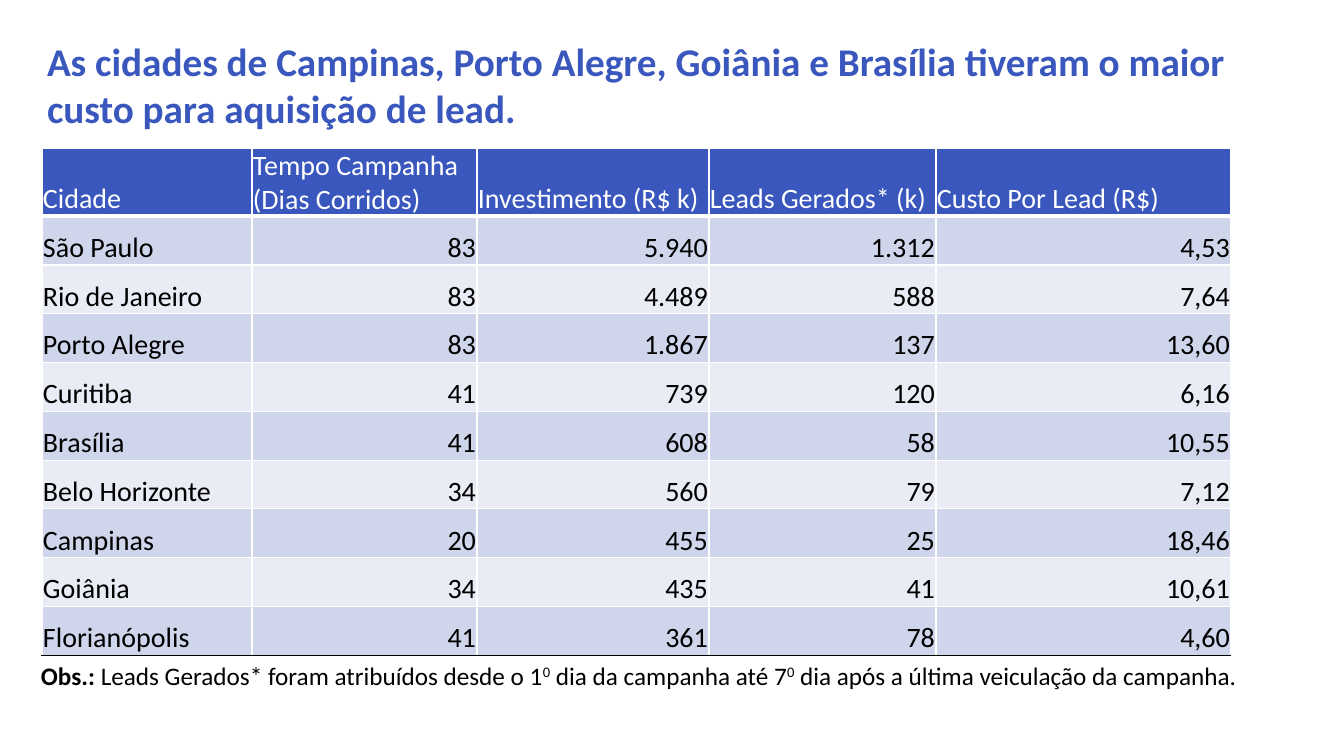
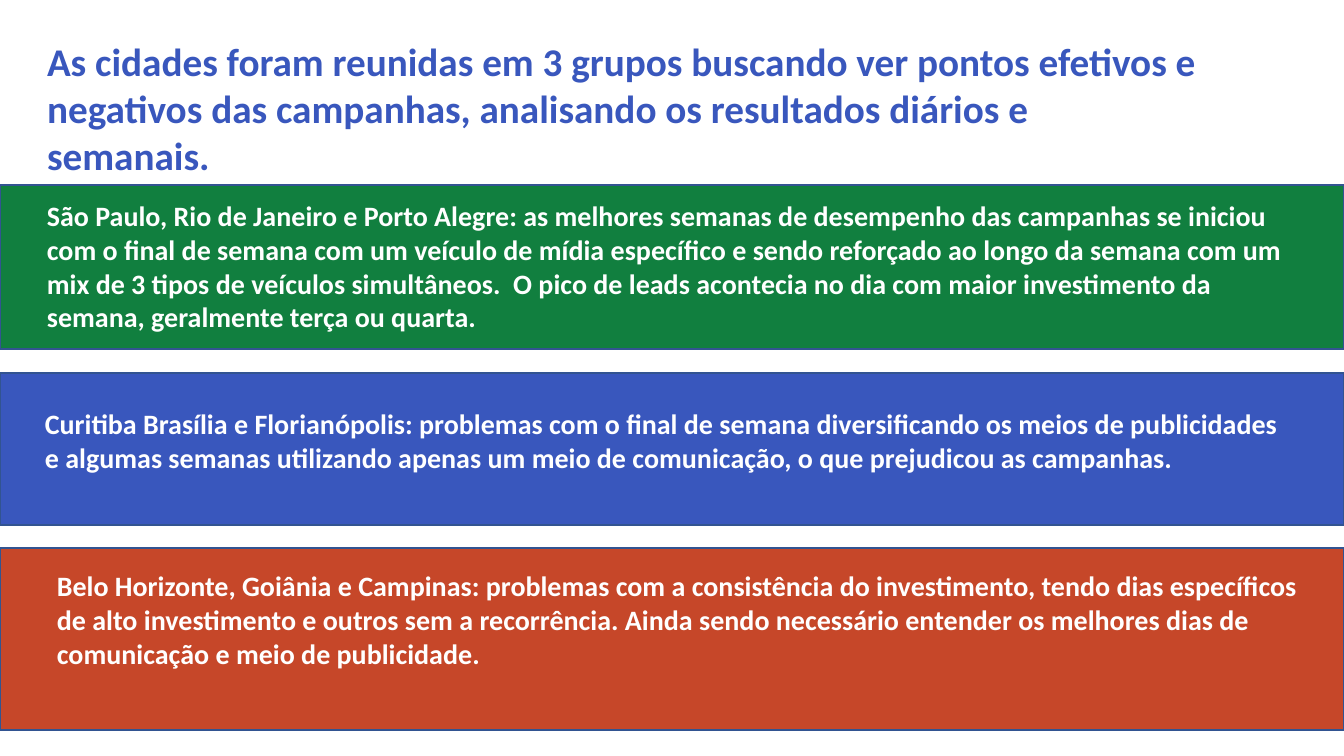
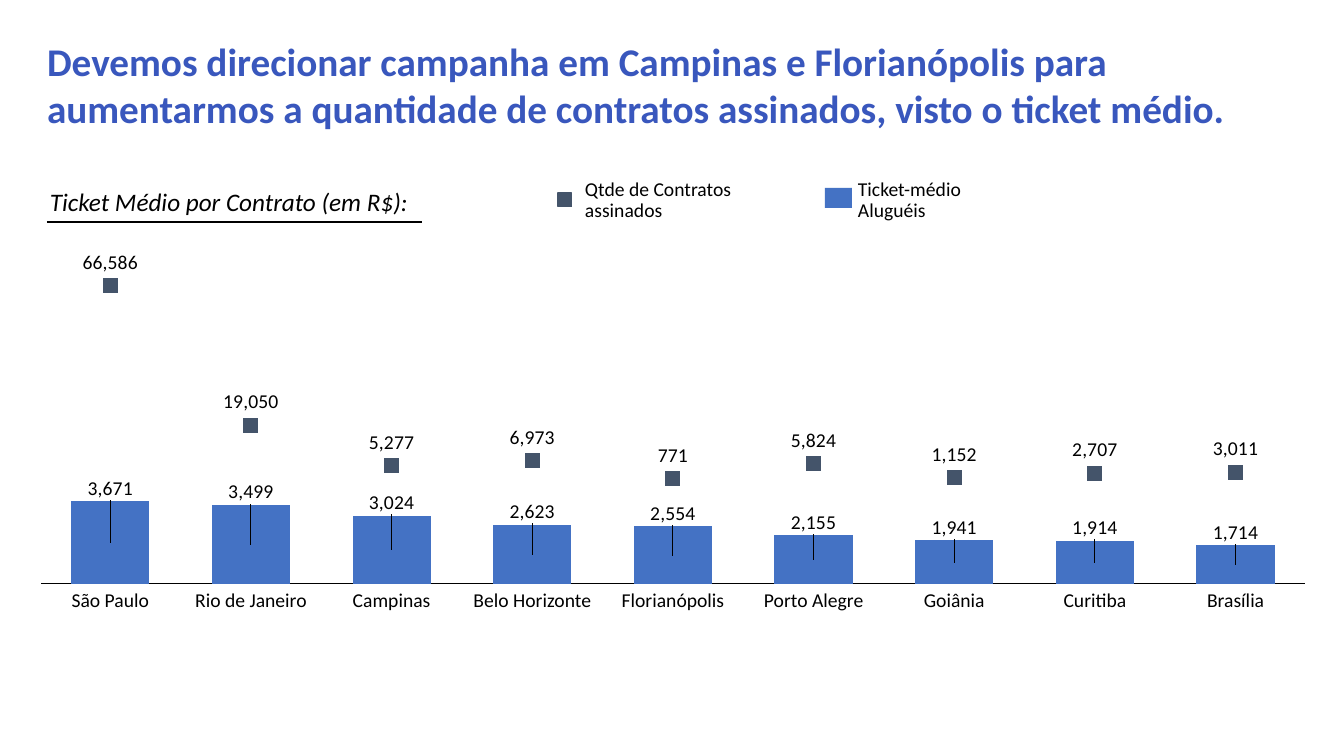
from lxml.etree import SubElement
from pptx import Presentation
from pptx.chart.data import CategoryChartData
from pptx.dml.color import RGBColor
from pptx.enum.chart import XL_CHART_TYPE, XL_LABEL_POSITION, XL_MARKER_STYLE
from pptx.enum.chart import XL_TICK_LABEL_POSITION as TickLabels, XL_TICK_MARK as TickMark
from pptx.enum.shapes import MSO_CONNECTOR, MSO_SHAPE
from pptx.enum.text import MSO_ANCHOR as Anchor, MSO_AUTO_SIZE, PP_ALIGN as Align
from pptx.oxml import parse_xml
from pptx.oxml.ns import nsdecls, qn
from pptx.util import Emu, Pt

PX_PER_INCH = 100.8
SLIDE_W, SLIDE_H = 1344, 756
FONT = "Calibri"
BLUE = RGBColor(0x39, 0x57, 0xBD)
BAND_EDGE = RGBColor(0x32, 0x54, 0x91)
GREEN = RGBColor(0x11, 0x7F, 0x3F)
RED = RGBColor(0xC6, 0x47, 0x29)
ROW_DARK = RGBColor(0xCF, 0xD5, 0xEA)
ROW_LIGHT = RGBColor(0xE9, 0xEB, 0xF5)
BAR_BLUE = RGBColor(0x44, 0x72, 0xC4)
SLATE = RGBColor(0x44, 0x54, 0x6A)
BLACK = RGBColor(0, 0, 0)
WHITE = RGBColor(0xFF, 0xFF, 0xFF)

COLUMN_WIDTHS = [210, 225, 232, 227, 295]
CAMPAIGNS = [
    ["Cidade", "Tempo Campanha (Dias Corridos)", "Investimento (R$ k)",
     "Leads Gerados* (k)", "Custo Por Lead (R$)"],
    ["São Paulo", "83", "5.940", "1.312", "4,53"],
    ["Rio de Janeiro", "83", "4.489", "588", "7,64"],
    ["Porto Alegre", "83", "1.867", "137", "13,60"],
    ["Curitiba", "41", "739", "120", "6,16"],
    ["Brasília", "41", "608", "58", "10,55"],
    ["Belo Horizonte", "34", "560", "79", "7,12"],
    ["Campinas", "20", "455", "25", "18,46"],
    ["Goiânia", "34", "435", "41", "10,61"],
    ["Florianópolis", "41", "361", "78", "4,60"],
]
NOTE = [
    ("Obs.: ", {"bold": True}),
    ("Leads Gerados* foram atribuídos desde o 1", {}), ("0", {"raised": True}),
    (" dia da campanha até 7", {}), ("0", {"raised": True}),
    (" dia após a última veiculação da campanha.", {}),
]
# band box, band colour, text box inside the band, text
GROUPS = [
    ((0, 185, SLIDE_W, 164), GREEN, (37, 9, 1270, 146),
     "São Paulo, Rio de Janeiro e Porto Alegre: as melhores semanas de desempenho das "
     "campanhas se iniciou com o final de semana com um veículo de mídia específico e "
     "sendo reforçado ao longo da semana com um mix de 3 tipos de veículos simultâneos.  "
     "O pico de leads acontecia no dia com maior investimento da semana, geralmente terça "
     "ou quarta."),
    ((0, 373, SLIDE_W, 152), BLUE, (35, 29, 1270, 78),
     "Curitiba Brasília e Florianópolis: problemas com o final de semana diversificando os "
     "meios de publicidades e algumas semanas utilizando apenas um meio de comunicação, o "
     "que prejudicou as campanhas."),
    ((0, 548, SLIDE_W, 182), RED, (47, 16, 1270, 112),
     "Belo Horizonte, Goiânia e Campinas: problemas com a consistência do investimento, "
     "tendo dias específicos de alto investimento e outros sem a recorrência. Ainda sendo "
     "necessário entender os melhores dias de comunicação e meio de publicidade."),
]
# city, label width, average ticket, signed contracts
CONTRACTS = [
    ("São Paulo", 79, 3671, 66586), ("Rio de Janeiro", 113, 3499, 19050),
    ("Campinas", 80, 3024, 5277), ("Belo Horizonte", 119, 2623, 6973),
    ("Florianópolis", 104, 2554, 771), ("Porto Alegre", 101, 2155, 5824),
    ("Goiânia", 62, 1941, 1152), ("Curitiba", 65, 1914, 2707),
    ("Brasília", 58, 1714, 3011),
]
PLOT_X, PLOT_Y, PLOT_W, PLOT_H = 9, 9, 1266, 338
TICKET_MAX = 15000
LABEL_LIFT = 13


def px(length):
    """Turn picture pixels into EMU."""
    return Emu(round(length * 914400 / PX_PER_INCH))


def place(box):
    """Turn a pixel box into EMU lengths."""
    return [px(length) for length in box]


def add_run(paragraph, text, size, color, bold=False, italic=False, raised=False):
    """Add one formatted run."""
    run = paragraph.add_run()
    run.text = text
    font = run.font
    font.name, font.size, font.bold, font.italic = FONT, Pt(size), bold, italic
    font.color.rgb = color
    if raised:
        font._element.set("baseline", "30000")


def add_text(slide, box, runs, size, color, align=Align.LEFT, anchor=Anchor.TOP,
             label=False):
    """Add a one-paragraph text box; a label has no insets and does not wrap."""
    frame = slide.shapes.add_textbox(*place(box)).text_frame
    frame.word_wrap = not label
    frame.vertical_anchor = anchor
    paragraph = frame.paragraphs[0]
    paragraph.alignment = align
    if label:
        frame.margin_left = frame.margin_right = 0
        frame.margin_top = frame.margin_bottom = 0
        paragraph.line_spacing = 0.9
    for text, style in runs:
        add_run(paragraph, text, size, color, **style)


def add_rect(slide, box, fill, edge=None, edge_width=1):
    """Add a flat rectangle."""
    rect = slide.shapes.add_shape(MSO_SHAPE.RECTANGLE, *place(box))
    rect.shadow.inherit = False
    rect.fill.solid()
    rect.fill.fore_color.rgb = fill
    if edge is None:
        rect.line.fill.background()
    else:
        rect.line.color.rgb = edge
        rect.line.width = Pt(edge_width)


def add_titled_slide(deck, lines, height=105):
    """Add a title-only slide with one title paragraph for each line."""
    slide = deck.slides.add_slide(deck.slide_layouts[5])
    title = slide.shapes.title
    title.left, title.top, title.width, title.height = place((37, 32, 1270, height))
    frame = title.text_frame
    frame.auto_size = MSO_AUTO_SIZE.NONE
    frame.word_wrap = True
    frame.vertical_anchor = Anchor.TOP
    for number, line in enumerate(lines):
        paragraph = frame.add_paragraph() if number else frame.paragraphs[0]
        paragraph.alignment = Align.LEFT
        add_run(paragraph, line, 28, BLUE, bold=True)
    return slide


def set_borders(cell, bottom_color, bottom_width):
    """Give a cell thin white borders and its own bottom border."""
    borders = [("L", WHITE, 1), ("R", WHITE, 1), ("T", WHITE, 1),
               ("B", bottom_color, bottom_width)]
    properties = cell._tc.get_or_add_tcPr()
    for position, (side, color, width) in enumerate(borders):
        border = parse_xml(
            f'<a:ln{side} {nsdecls("a")} w="{Pt(width)}"><a:solidFill>'
            f'<a:srgbClr val="{color}"/></a:solidFill></a:ln{side}>')
        properties.insert(position, border)


def add_campaign_table(slide, box, header_height=68):
    """Add the table of campaigns by city."""
    last = len(CAMPAIGNS) - 1
    table = slide.shapes.add_table(len(CAMPAIGNS), len(COLUMN_WIDTHS), *place(box)).table
    table.horz_banding = False
    for column, width in zip(table.columns, COLUMN_WIDTHS):
        column.width = px(width)
    for r, values in enumerate(CAMPAIGNS):
        table.rows[r].height = px((box[3] - header_height) / last if r else header_height)
        for c, value in enumerate(values):
            cell = table.cell(r, c)
            cell.vertical_anchor = Anchor.BOTTOM
            cell.margin_left = cell.margin_right = cell.margin_top = px(1)
            cell.margin_bottom = 0
            cell.fill.solid()
            cell.fill.fore_color.rgb = (ROW_DARK if r % 2 else ROW_LIGHT) if r else BLUE
            set_borders(cell, BLACK if r == last else WHITE, 1 if r else 3)
            paragraph = cell.text_frame.paragraphs[0]
            paragraph.alignment = Align.RIGHT if r and c else Align.LEFT
            add_run(paragraph, value, 20, BLACK if r else WHITE)


def add_group_band(slide, box, color, text_box, text):
    """Add a full-width band with its paragraph inside."""
    add_rect(slide, box, color, BAND_EDGE)
    dx, dy, width, height = text_box
    add_text(slide, (box[0] + dx, box[1] + dy, width, height),
             [(text, {"bold": True})], 20, WHITE)


def style_axis(axis, color):
    """Leave only the line of an axis."""
    axis.has_major_gridlines = False
    axis.major_tick_mark = axis.minor_tick_mark = TickMark.NONE
    axis.tick_label_position = TickLabels.NONE
    axis.format.line.color.rgb = color
    axis.format.line.width = Pt(0.75)


def move_contracts_to_line(chart):
    """Move the second series to a line plot on a right-hand axis."""
    plot_area = chart._chartSpace.chart.plotArea
    bars = plot_area.find(qn("c:barChart"))
    contracts = bars.findall(qn("c:ser"))[1]
    for flag in contracts.findall(qn("c:invertIfNegative")):
        contracts.remove(flag)
    line = parse_xml(
        f'<c:lineChart {nsdecls("c")}><c:grouping val="standard"/><c:varyColors val="0"/>'
        '<c:marker val="1"/><c:axId val="5001"/><c:axId val="5002"/></c:lineChart>')
    line.insert(2, contracts)
    bars.addnext(line)
    category_axis = parse_xml(
        f'<c:catAx {nsdecls("c")}><c:axId val="5001"/><c:scaling>'
        '<c:orientation val="minMax"/></c:scaling><c:delete val="1"/>'
        '<c:axPos val="b"/><c:crossAx val="5002"/></c:catAx>')
    value_axis = parse_xml(
        f'<c:valAx {nsdecls("c", "a")}><c:axId val="5002"/><c:scaling>'
        '<c:orientation val="minMax"/><c:max val="80000"/><c:min val="-35000"/></c:scaling>'
        '<c:delete val="0"/><c:axPos val="r"/><c:majorTickMark val="none"/>'
        '<c:minorTickMark val="none"/><c:tickLblPos val="none"/>'
        f'<c:spPr><a:ln w="9525"><a:solidFill><a:srgbClr val="{WHITE}"/></a:solidFill></a:ln>'
        '</c:spPr><c:crossAx val="5001"/><c:crosses val="max"/></c:valAx>')
    last_axis = plot_area.find(qn("c:valAx"))
    last_axis.addnext(category_axis)
    category_axis.addnext(value_axis)


def fix_plot_area(chart, box):
    """Pin the inner plot area inside the chart box."""
    plot_area = chart._chartSpace.chart.plotArea
    for layout in plot_area.findall(qn("c:layout")):
        plot_area.remove(layout)
    layout = parse_xml(f'<c:layout {nsdecls("c")}><c:manualLayout/></c:layout>')
    settings = [("layoutTarget", "inner"), ("xMode", "edge"), ("yMode", "edge"),
                ("x", PLOT_X / box[2]), ("y", PLOT_Y / box[3]),
                ("w", PLOT_W / box[2]), ("h", PLOT_H / box[3])]
    for tag, value in settings:
        SubElement(layout[0], qn(f"c:{tag}")).set("val", str(value))
    plot_area.insert(0, layout)


def show_values(series, position):
    """Show the values of a series as labels."""
    labels = series.data_labels
    labels.show_value = True
    labels.number_format, labels.number_format_is_linked = "#,##0", False
    labels.position = position
    labels.font.name, labels.font.size = FONT, Pt(14)
    labels.font.color.rgb = BLACK
    return labels._element


def lift_ticket_labels(labels, chart_height):
    """Raise each label from the middle of its bar to above it, with a leader line."""
    for number, (_, _, ticket, _) in enumerate(CONTRACTS):
        rise = ticket / TICKET_MAX * PLOT_H / 2 + LABEL_LIFT
        labels.insert(number, parse_xml(
            f'<c:dLbl {nsdecls("c")}><c:idx val="{number}"/><c:layout><c:manualLayout>'
            f'<c:x val="0"/><c:y val="{-rise / chart_height:.4f}"/></c:manualLayout></c:layout>'
            '<c:numFmt formatCode="#,##0" sourceLinked="0"/><c:dLblPos val="ctr"/>'
            '<c:showLegendKey val="0"/><c:showVal val="1"/><c:showCatName val="0"/>'
            '<c:showSerName val="0"/><c:showPercent val="0"/><c:showBubbleSize val="0"/>'
            '</c:dLbl>'))
    leader_lines = labels.find(qn("c:showLeaderLines"))
    if leader_lines is None:
        leader_lines = SubElement(labels, qn("c:showLeaderLines"))
    leader_lines.set("val", "1")


def add_contract_chart(slide, box):
    """Add ticket bars with contract markers, and the city names below."""
    data = CategoryChartData(number_format="#,##0")
    data.categories = [str(number + 1) for number in range(len(CONTRACTS))]
    data.add_series("Series 1", [ticket for _, _, ticket, _ in CONTRACTS])
    data.add_series("Series 2", [contracts for *_, contracts in CONTRACTS])
    chart = slide.shapes.add_chart(XL_CHART_TYPE.COLUMN_STACKED, *place(box), data).chart
    chart.has_legend = chart.has_title = False
    chart.font.name, chart.font.size = FONT, Pt(14)
    chart.font.color.rgb = BLACK
    style_axis(chart.category_axis, BLACK)
    style_axis(chart.value_axis, WHITE)
    chart.value_axis.minimum_scale, chart.value_axis.maximum_scale = 0, TICKET_MAX
    move_contracts_to_line(chart)
    fix_plot_area(chart, box)

    bars, markers = chart.plots
    bars.gap_width, bars.overlap = 80, 100
    bars.vary_by_categories = False
    tickets, contracts = bars.series[0], markers.series[0]
    tickets.format.fill.solid()
    tickets.format.fill.fore_color.rgb = BAR_BLUE
    lift_ticket_labels(show_values(tickets, XL_LABEL_POSITION.CENTER), box[3])

    contracts.smooth = False
    contracts.format.line.fill.background()
    contracts.marker.style, contracts.marker.size = XL_MARKER_STYLE.SQUARE, 10
    contracts.marker.format.fill.solid()
    contracts.marker.format.fill.fore_color.rgb = SLATE
    contracts.marker.format.line.color.rgb = SLATE
    show_values(contracts, XL_LABEL_POSITION.ABOVE)

    slot = PLOT_W / len(CONTRACTS)
    for number, (city, width, _, _) in enumerate(CONTRACTS):
        center = box[0] + PLOT_X + slot * (number + 0.5)
        add_text(slide, (center - width / 2, box[1] + 354, width, 21), [(city, {})],
                 14, BLACK, Align.CENTER, label=True)


def add_chart_heading(slide, left, top):
    """Add the underlined heading of the chart."""
    add_text(slide, (left, top, 424, 40),
             [("Ticket Médio por Contrato (em R$):", {"italic": True})], 18, BLACK)
    underline = slide.shapes.add_connector(
        MSO_CONNECTOR.STRAIGHT, *place((left + 7, top + 41, left + 382, top + 41)))
    underline.line.color.rgb = BLACK
    underline.line.width = Pt(1.5)
    SubElement(underline._element.spPr, qn("a:effectLst"))


def add_chart_legend(slide, left, top):
    """Add the two legend entries in a row."""
    add_rect(slide, (left, top + 5, 14, 14), SLATE, SLATE, 0.75)
    add_rect(slide, (left + 267, top, 27, 20), BAR_BLUE)
    for dx, width, text in [(27, 228, "Qtde de Contratos assinados"),
                            (300, 175, "Ticket-médio Aluguéis")]:
        add_text(slide, (left + dx, top + 2, width, 21), [(text, {})], 14, BLACK,
                 anchor=Anchor.MIDDLE, label=True)


def main():
    """Build the three slides."""
    deck = Presentation()
    deck.slide_width, deck.slide_height = px(SLIDE_W), px(SLIDE_H)

    costs = add_titled_slide(deck, [
        "As cidades de Campinas, Porto Alegre, Goiânia e Brasília tiveram o maior ",
        "custo para aquisição de lead."])
    add_text(costs, (31, 655, 1241, 40), NOTE, 18, BLACK)
    add_campaign_table(costs, (42, 148, sum(COLUMN_WIDTHS), 507))

    groups = add_titled_slide(deck, [
        "As cidades foram reunidas em 3 grupos buscando ver pontos efetivos e negativos "
        "das campanhas, analisando os resultados diários e", "semanais."], 152)
    for group in GROUPS:
        add_group_band(groups, *group)

    tickets = add_titled_slide(deck, [
        "Devemos direcionar campanha em Campinas e Florianópolis para aumentarmos a "
        "quantidade de contratos assinados, visto o ticket médio."])
    add_chart_heading(tickets, 40, 181)
    add_contract_chart(tickets, (31, 237, 1284, 356))
    add_chart_legend(tickets, 558, 188)
    deck.save("out.pptx")


main()
